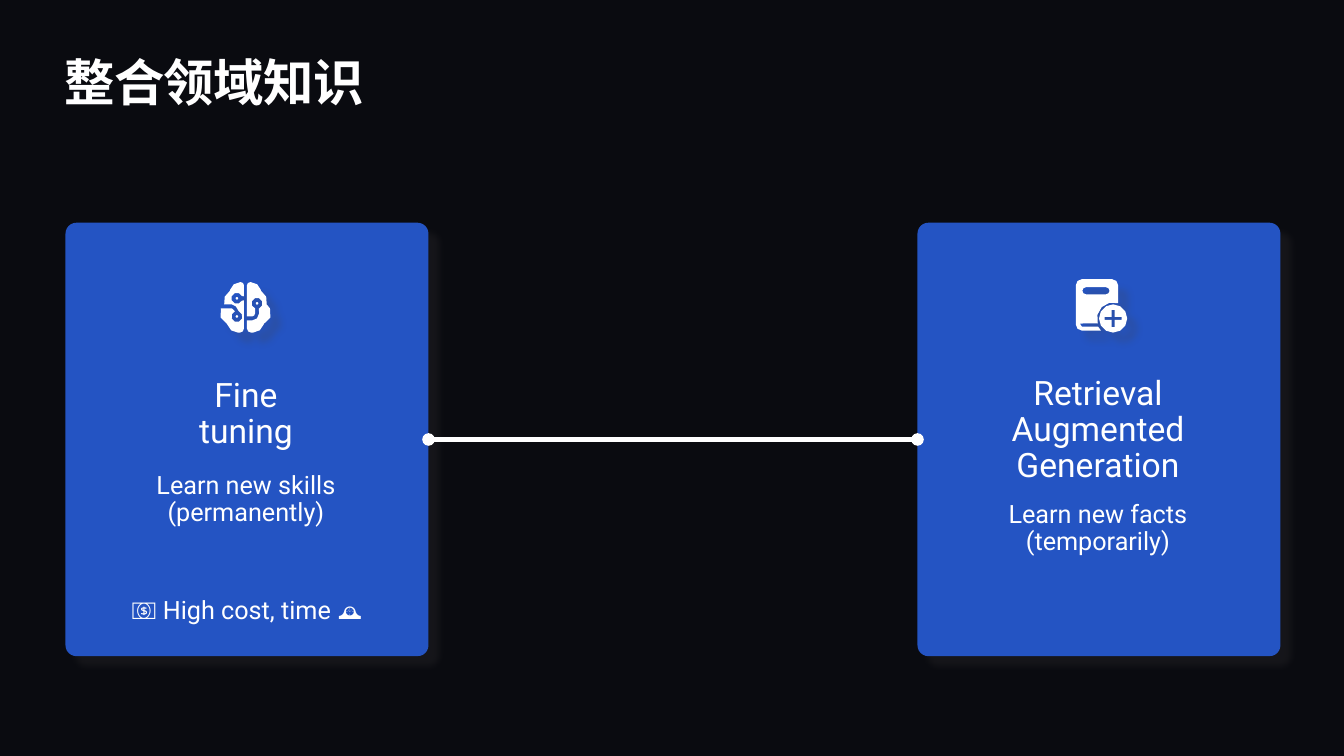
import math
import pptx
import pptx.util
import pptx.dml.color
import pptx.enum.shapes
import pptx.enum.text
import pptx.oxml
import pptx.oxml.ns

WIDE, HIGH = 13.33, 7.5
CARD_W, CARD_H, CARD_TOP = 3.6, 4.3, 2.21
WHITE, BLUE, BLACK, SHADE = "FFFFFF", "2454C3", "0A0B10", "454142"
TITLE = "整合领域知识"
CARDS = [
    dict(left=0.65, icon="brain", spot=(2.18, 2.8), texts=[
        (0.64, 3.75, 0.73, 24, ["Fine\ntuning"]),
        (0.64, 4.69, 0.55, 18, ["Learn new skills", "(permanently)"])]),
    dict(left=9.1, icon="book", spot=(10.67, 2.77), texts=[
        (9.09, 3.73, 1.09, 24, ["Retrieval\nAugmented", "Generation"]),
        (9.09, 4.98, 0.55, 18, ["Learn new facts", "(temporarily)"])]),
]
COST = (0.65, 5.93, 0.27, 18, ["💵 High cost, time 🕰️"])


def arc(x, y, r, start, end):
    steps = max(2, round(abs(end - start) / (30 if r > 12 else 45)))
    turns = [math.radians(start + (end - start) * i / steps)
             for i in range(steps + 1)]
    return [(x + r * math.cos(t), y + r * math.sin(t)) for t in turns]


def disc(x, y, r):
    return arc(x, y, r, 0, 360)[:-1]


def flip(points):
    return [(51 - x, y) for x, y in points]


def brain():
    rim = arc(20, 10, 10, 270, 195) + arc(16, 19, 12, 240, 165)
    base = (arc(11, 31, 11, 207, 110) + arc(18, 39, 11, 165, 90)
            + arc(20, 46, 4, 90, 0))
    crown = arc(21, 3, 3, 0, -90)
    left = (rim + [(12, 22), (16, 24)] + arc(17, 34, 5.5, -70, 250)
            + [(12, 26), (1, 26)] + base + [(24, 18)]
            + arc(17, 16, 5.5, 25, 335) + [(24, 14)] + crown)
    right = (flip(rim + base) + [(27, 38)] + arc(32, 31, 7, 90, 0)
             + arc(37, 21, 5.5, 70, -250) + arc(32, 31, 3, 0, 90)
             + [(27, 34)] + flip(crown))
    dots = [disc(x, y, 1.3) for x, y in [(17, 16), (17, 34), (37, 21)]]
    return [left, right] + dots


def book():
    cover = (arc(6, 6, 6, 180, 270) + arc(36, 6, 6, 270, 360)
             + arc(37, 39, 16, -72, -198) + [(4, 44), (6, 47), (22, 47), (25, 51)]
             + arc(6, 45, 6, 90, 180))
    label = arc(10, 11.5, 3.5, 90, 270) + arc(30, 11.5, 3.5, -90, 90)
    arm, half = 8.5, 1.5
    plus = []
    for turn in range(4):
        for x, y in [(half, -half), (arm, -half), (arm, half)]:
            for _ in range(turn):
                x, y = -y, x
            plus.append((37 + x, 39 + y))
    return [cover, label, disc(37, 39, 14), plus]


ICONS = {"brain": brain, "book": book}


def inch(*sizes):
    return [pptx.util.Inches(size) for size in sizes]


def hue(code):
    return pptx.dml.color.RGBColor.from_string(code)


def add_xml(parent, tag, body="", **attrs):
    words = "".join(f' {key}="{val}"' for key, val in attrs.items())
    space = pptx.oxml.ns.nsdecls("a")
    node = pptx.oxml.parse_xml(f"<a:{tag} {space}{words}>{body}</a:{tag}>")
    parent.append(node)


def paint(shape, code):
    shape.fill.solid()
    shape.fill.fore_color.rgb = hue(code)
    shape.line.fill.background()
    shape.shadow.inherit = False
    effects = shape._element.spPr.find(pptx.oxml.ns.qn("a:effectLst"))
    add_xml(effects, "outerShdw",
            f'<a:srgbClr val="{SHADE}"><a:alpha val="20000"/></a:srgbClr>',
            blurRad=63500, dist=127000, dir=2700000, algn="tl", rotWithShape=0)


def clear(frame):
    frame.margin_left = frame.margin_right = 0
    frame.margin_top = frame.margin_bottom = 0
    frame.word_wrap = True


def add_text(slide, left, top, high, size, lines):
    frame = slide.shapes.add_textbox(*inch(left, top, CARD_W, high)).text_frame
    clear(frame)
    frame.auto_size = pptx.enum.text.MSO_AUTO_SIZE.SHAPE_TO_FIT_TEXT
    for i, line in enumerate(lines):
        para = frame.add_paragraph() if i else frame.paragraphs[0]
        para.text = line
        para.alignment = pptx.enum.text.PP_ALIGN.CENTER
        para.line_spacing = 0.9
        para.font.name = "Roboto"
        para.font.size = pptx.util.Pt(size)
        para.font.color.rgb = hue(WHITE)


def add_icon(slide, rings, spot):
    rings = [[(x * 100, y * 100) for x, y in ring] for ring in rings]
    pen = slide.shapes.build_freeform(*rings[0][0], scale=91.44)
    for i, ring in enumerate(rings):
        if i:
            pen.move_to(*ring[0])
        pen.add_line_segments(ring[1:], close=True)
    paint(pen.convert_to_shape(*inch(*spot)), WHITE)


def add_title(slide):
    title = slide.shapes.title
    title.left, title.top, title.width, title.height = inch(0.64, 0.5, 12.05, 0.61)
    frame = title.text_frame
    clear(frame)
    frame.vertical_anchor = pptx.enum.text.MSO_ANCHOR.MIDDLE
    para = frame.paragraphs[0]
    para.alignment = pptx.enum.text.PP_ALIGN.LEFT
    run = para.add_run()
    run.text = TITLE
    run.font.size, run.font.bold = pptx.util.Pt(36), True
    run.font.color.rgb = hue(WHITE)
    run.font.name = "Noto Sans CJK SC"
    props = run._r.get_or_add_rPr()
    props.set("spc", "-50")
    add_xml(props, "ea", typeface="Noto Sans CJK SC")


def add_link(slide):
    mid = CARD_TOP + CARD_H / 2
    ends = inch(CARDS[0]["left"] + CARD_W, mid, CARDS[1]["left"], mid)
    link = slide.shapes.add_connector(
        pptx.enum.shapes.MSO_CONNECTOR.STRAIGHT, *ends)
    link.line.color.rgb = hue(WHITE)
    link.line.width = pptx.util.Pt(3)
    for tag in ("headEnd", "tailEnd"):
        add_xml(link.line._get_or_add_ln(), tag, type="oval")
    add_xml(link._element.spPr, "effectLst")


def main():
    deck = pptx.Presentation()
    deck.slide_width, deck.slide_height = inch(WIDE, HIGH)
    slide = deck.slides.add_slide(deck.slide_layouts[5])
    slide.background.fill.solid()
    slide.background.fill.fore_color.rgb = hue(BLACK)
    add_title(slide)
    for card in CARDS:
        panel = slide.shapes.add_shape(
            pptx.enum.shapes.MSO_SHAPE.ROUNDED_RECTANGLE,
            *inch(card["left"], CARD_TOP, CARD_W, CARD_H))
        panel.adjustments[0] = 0.03
        paint(panel, BLUE)
        for text in card["texts"]:
            add_text(slide, *text)
        add_icon(slide, ICONS[card["icon"]](), card["spot"])
    add_link(slide)
    add_text(slide, *COST)
    deck.save("out.pptx")


if __name__ == "__main__":
    main()
